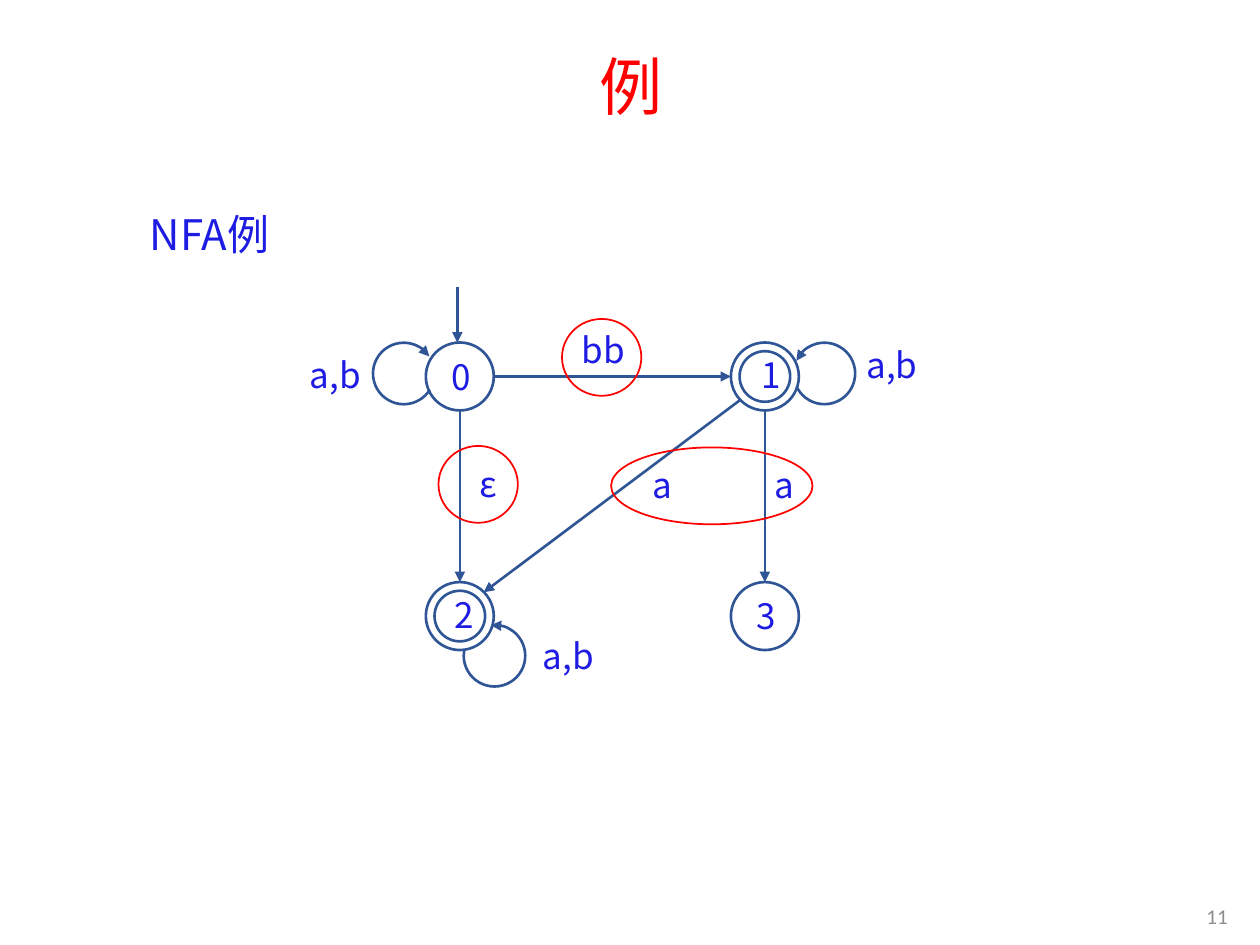
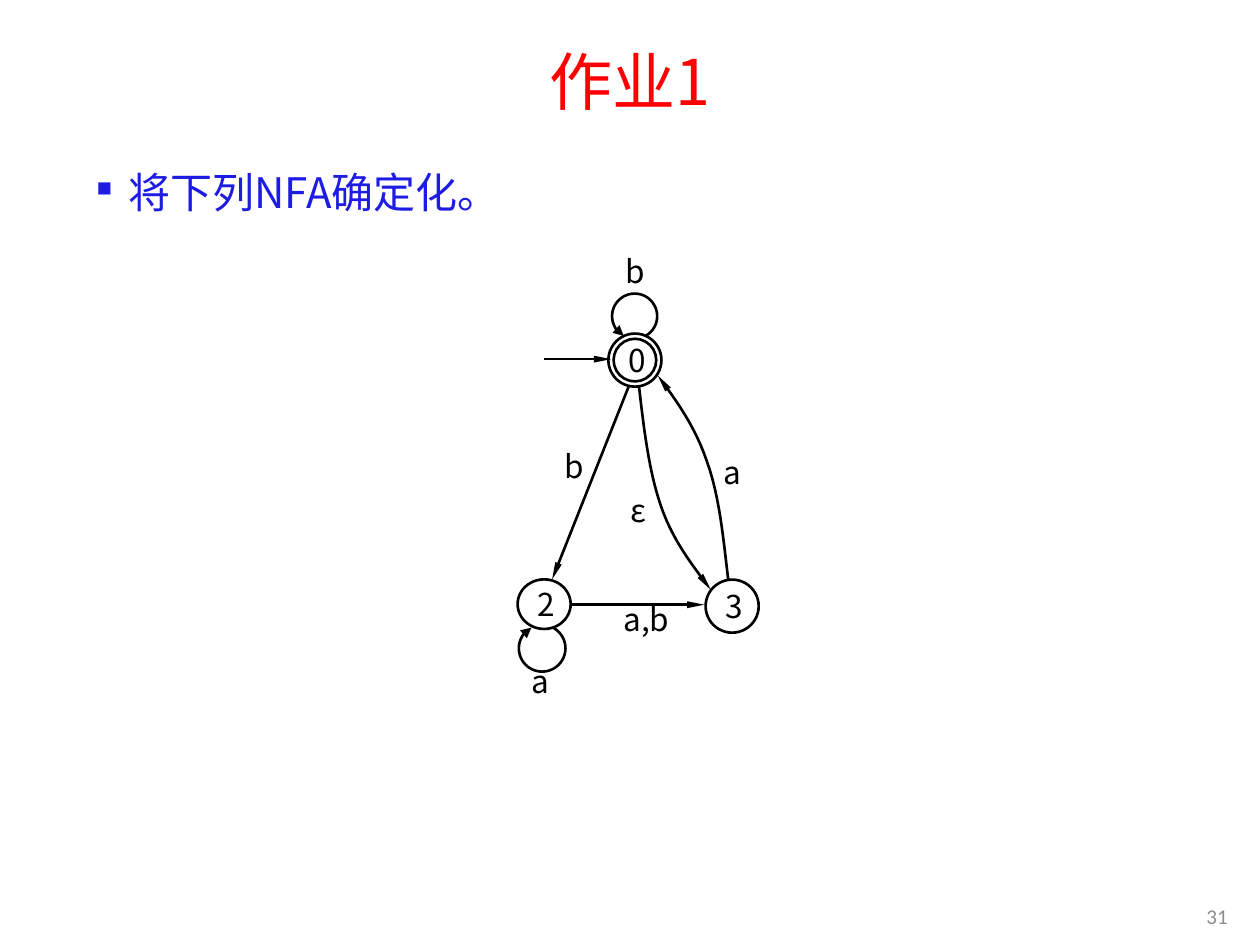
from dataclasses import dataclass

from lxml import etree
from pptx import Presentation
from pptx.dml.color import RGBColor
from pptx.enum.shapes import MSO_CONNECTOR, MSO_SHAPE
from pptx.enum.text import MSO_ANCHOR, PP_ALIGN
from pptx.oxml.ns import qn
from pptx.util import Cm, Pt

OVAL, ARC = MSO_SHAPE.OVAL, MSO_SHAPE.ARC
STRAIGHT = MSO_CONNECTOR.STRAIGHT
TOP, MIDDLE = MSO_ANCHOR.TOP, MSO_ANCHOR.MIDDLE
LEFT, CENTER, RIGHT = PP_ALIGN.LEFT, PP_ALIGN.CENTER, PP_ALIGN.RIGHT

RED, BLUE, NAVY, BLACK, GRAY = "FF0000", "1E1CE3", "2F5597", "000000", "8C8C8C"
TITLE_FONT, BODY_FONT, NUMBER_FONT = "Noto Sans CJK JP", "Noto Sans CJK SC", "Calibri"
CURVE_STEPS = 12

Point = tuple[float, float]
Box = tuple[float, float, float, float]


@dataclass(frozen=True)
class TextStyle:
    size: float
    color: str
    font: str = BODY_FONT
    align: PP_ALIGN = CENTER
    anchor: MSO_ANCHOR = MIDDLE


TITLE = TextStyle(36, RED, TITLE_FONT)
BODY = TextStyle(24, BLUE, align=LEFT, anchor=TOP)
PAGE_NUMBER = TextStyle(12, GRAY, NUMBER_FONT, RIGHT)


@dataclass(frozen=True)
class Diagram:
    line_color: str
    label: TextStyle
    arrow_width: str
    arrow_length: str


@dataclass(frozen=True)
class State:
    name: str
    center: Point
    width: float
    height: float
    inner: float = 0
    name_in_inner: bool = False
    inset_left: float = 0.25
    inset_bottom: float = 0.13


@dataclass(frozen=True)
class Loop:
    left: float
    top: float
    size: float
    start: float
    end: float
    arrow_end: str


@dataclass(frozen=True)
class Transition:
    start: Point
    end: Point


@dataclass(frozen=True)
class Label:
    text: str
    box: Box


def rgb(color: str) -> RGBColor:
    return RGBColor.from_string(color)


def style_text(frame, text: str, style: TextStyle):
    frame.word_wrap = True
    frame.vertical_anchor = style.anchor
    frame.text = text
    paragraph = frame.paragraphs[0]
    paragraph.alignment = style.align
    font = paragraph.runs[0].font
    font.size = Pt(style.size)
    font.name = style.font
    font.color.rgb = rgb(style.color)
    east_asian = etree.SubElement(font._element, qn("a:ea"))
    east_asian.set("typeface", style.font)
    return paragraph


def add_text(slide, text: str, box: Box, style: TextStyle):
    frame = slide.shapes.add_textbox(*map(Cm, box)).text_frame
    return style_text(frame, text, style)


def outline(shape, color: str, width: float = 1.5) -> None:
    shape.shadow.inherit = False
    shape.fill.background()
    shape.line.color.rgb = rgb(color)
    shape.line.width = Pt(width)


def add_arrowhead(shape, end: str, width: str = "med", length: str = "med") -> None:
    head = etree.SubElement(shape.line._get_or_add_ln(), qn(f"a:{end}"))
    head.set("type", "triangle")
    head.set("w", width)
    head.set("len", length)


def add_ellipse(slide, box: Box, color: str, width: float = 1.5):
    ellipse = slide.shapes.add_shape(OVAL, *map(Cm, box))
    outline(ellipse, color, width)
    return ellipse


def add_state(slide, state: State, diagram: Diagram) -> None:
    x, y = state.center
    rings = [(state.width, state.height)]
    if state.inner:
        rings.append((state.inner, state.inner))
    ellipses = [
        add_ellipse(slide, (x - w / 2, y - h / 2, w, h), diagram.line_color)
        for w, h in rings
    ]
    frame = ellipses[-1 if state.name_in_inner else 0].text_frame
    frame.margin_left = Cm(state.inset_left)
    frame.margin_bottom = Cm(state.inset_bottom)
    style_text(frame, state.name, diagram.label)


def add_loop(slide, loop: Loop, diagram: Diagram) -> None:
    arc = slide.shapes.add_shape(
        ARC, Cm(loop.left), Cm(loop.top), Cm(loop.size), Cm(loop.size)
    )
    for index, degrees in enumerate((loop.start, loop.end)):
        arc.adjustments[index] = degrees * 0.6
    outline(arc, diagram.line_color)
    add_arrowhead(arc, loop.arrow_end)


def add_transition(slide, transition: Transition, diagram: Diagram) -> None:
    arrow = slide.shapes.add_connector(
        STRAIGHT, *map(Cm, transition.start + transition.end)
    )
    arrow.line.color.rgb = rgb(diagram.line_color)
    arrow.line.width = Pt(1.5)
    add_arrowhead(arrow, "tailEnd", diagram.arrow_width, diagram.arrow_length)
    etree.SubElement(arrow._element.spPr, qn("a:effectLst"))


def bezier(controls: list[Point], t: float) -> Point:
    weights = ((1 - t) ** 3, 3 * t * (1 - t) ** 2, 3 * t**2 * (1 - t), t**3)
    x, y = (sum(w * c for w, c in zip(weights, axis)) for axis in zip(*controls))
    return Cm(x), Cm(y)


def add_curve(slide, controls: list[Point], diagram: Diagram) -> None:
    points = [
        bezier(controls[first : first + 4], step / CURVE_STEPS)
        for first in range(0, len(controls) - 1, 3)
        for step in range(1, CURVE_STEPS + 1)
    ]
    builder = slide.shapes.build_freeform(*map(Cm, controls[0]))
    builder.add_line_segments(points, close=False)
    curve = builder.convert_to_shape()
    outline(curve, diagram.line_color)
    add_arrowhead(curve, "headEnd", diagram.arrow_width, diagram.arrow_length)


def add_base(prs, title: str, title_box: Box, body: str, body_box: Box, number: str):
    slide = prs.slides.add_slide(prs.slide_layouts[6])
    add_text(slide, title, title_box, TITLE).line_spacing = 0.9
    statement = add_text(slide, body, body_box, BODY)
    statement.line_spacing = Pt(35)
    statement.space_before = statement.space_after = Pt(6)
    add_text(slide, number, (22.94, 17.96, 2.06, 1.02), PAGE_NUMBER)
    return slide, statement


def add_bullet(paragraph) -> None:
    properties = paragraph._p.get_or_add_pPr()
    properties.set("marL", str(Cm(0.64)))
    properties.set("indent", str(-Cm(0.64)))
    etree.SubElement(properties, qn("a:buSzPct")).set("val", "50000")
    etree.SubElement(properties, qn("a:buChar")).set("char", "■")


def draw_diagram(slide, diagram: Diagram, states, loops, transitions, labels) -> None:
    for state in states:
        add_state(slide, state, diagram)
    for loop in loops:
        add_loop(slide, loop, diagram)
    for transition in transitions:
        add_transition(slide, transition, diagram)
    for label in labels:
        add_text(slide, label.text, label.box, diagram.label)


def build_example(prs) -> None:
    slide, _ = add_base(
        prs, "例", (1.78, 0.76, 21.9, 2.13), "NFA例", (2.77, 3.86, 3.71, 1.55), "11"
    )
    diagram = Diagram(NAVY, TextStyle(20, BLUE), "med", "med")
    left, right, upper, lower = 9.27, 15.42, 7.59, 12.42
    size, inner, loop_size = 1.37, 1.02, 1.24
    radius = size / 2
    states = [
        State("0", (left, upper), size, size, inset_left=0.3),
        State("1", (right, upper), size, size, inner, True, 0.3, 0.2),
        State("2", (left, lower), size, size, inner, True, inset_bottom=0.2),
        State("3", (right, lower), size, size, inset_left=0.3),
    ]
    loops = [
        Loop(7.52, 6.91, loop_size, 32.1, 326.34, "tailEnd"),
        Loop(16, 6.91, loop_size, 204.32, 154.2, "headEnd"),
        Loop(9.35, 12.6, loop_size, 263.3, 189.77, "headEnd"),
    ]
    transitions = [
        Transition((left + radius, upper), (right - radius, upper)),
        Transition((14.94, 8.05), (9.75, 11.94)),
        Transition((9.22, 5.79), (9.22, upper - radius)),
    ] + [
        Transition((x, upper + radius), (x, lower - radius)) for x in (left, right)
    ]
    labels = [
        Label("a,b", (5.94, 6.93, 1.65, 1.24)),
        Label("a,b", (17.04, 6.73, 1.88, 1.24)),
        Label("a,b", (10.59, 12.6, 1.73, 1.24)),
        Label("bb", (10.97, 6.43, 2.39, 1.24)),
        Label("ε", (8.92, 9.12, 1.85, 1.24)),
        Label("a", (12.8, 9.4, 1.09, 0.74)),
        Label("a", (15.27, 9.4, 1.09, 0.74)),
    ]
    draw_diagram(slide, diagram, states, loops, transitions, labels)
    for x, y, width in ((11.33, 6.43, 1.6), (8.84, 8.99, 1.6), (12.32, 9.02, 4.06)):
        add_ellipse(slide, (x, y, width, 1.55), RED, 1)


def build_homework(prs) -> None:
    slide, statement = add_base(
        prs,
        "作业1",
        (1.75, 1.02, 21.9, 1.4),
        "将下列NFA确定化。",
        (1.7, 3.02, 13, 1.88),
        "31",
    )
    add_bullet(statement)
    diagram = Diagram(BLACK, TextStyle(18, BLACK), "sm", "lg")
    states = [
        State("0", (12.8, 7.26), 1.07, 1.07, 0.86),
        State("2", (10.97, 12.18), 1.07, 1),
        State("3", (14.76, 12.22), 1.07, 1.07),
    ]
    loops = [
        Loop(12.34, 5.92, 0.91, 118.8, 60.65, "headEnd"),
        Loop(10.46, 12.6, 0.94, 299.32, 242.59, "tailEnd"),
    ]
    transitions = [
        Transition((11.51, 12.19), (14.2, 12.19)),
        Transition((12.67, 7.8), (11.13, 11.68)),
        Transition((10.97, 7.24), (12.32, 7.24)),
    ]
    labels = [
        Label("ε", (12.42, 9.93, 0.91, 0.69)),
        Label("b", (11.05, 9.04, 1.04, 0.69)),
        Label("a,b", (12.19, 12.14, 1.68, 0.69)),
        Label("a", (14.3, 9.17, 0.91, 0.69)),
        Label("a", (10.44, 13.39, 0.91, 0.69)),
        Label("b", (12.37, 5.11, 0.89, 0.71)),
    ]
    draw_diagram(slide, diagram, states, loops, transitions, labels)
    three_to_zero = [
        (13.26, 7.57), (13.64, 8.08), (14.02, 8.61), (14.25, 9.3),
        (14.5, 9.98), (14.58, 10.82), (14.68, 11.68),
    ]
    zero_to_three = [
        (14.33, 11.89), (13.92, 11.35), (13.54, 10.85), (13.31, 10.16),
        (13.08, 9.47), (12.98, 8.64), (12.88, 7.77),
    ]
    for controls in (three_to_zero, zero_to_three):
        add_curve(slide, controls, diagram)


def main() -> None:
    prs = Presentation()
    prs.slide_width, prs.slide_height = Cm(25.4), Cm(19.05)
    build_example(prs)
    build_homework(prs)
    prs.save("out.pptx")


if __name__ == "__main__":
    main()
